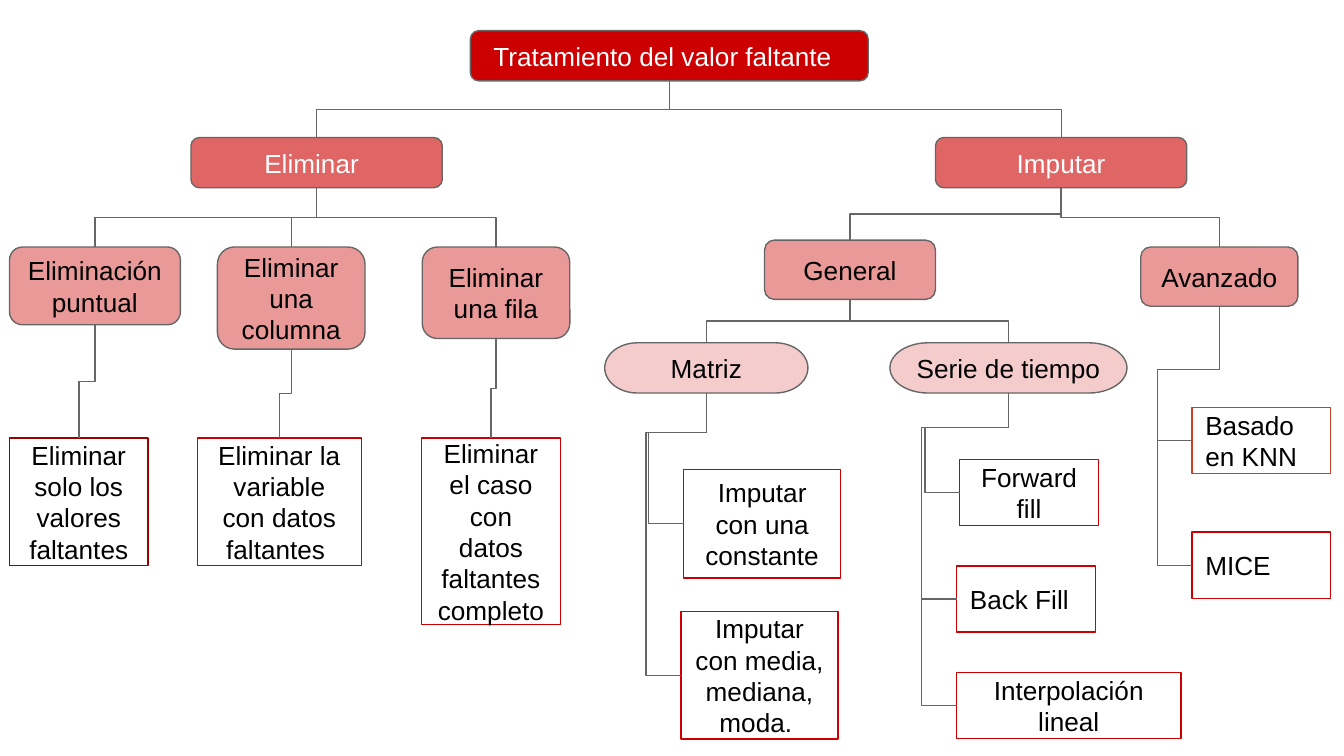
from lxml import etree
from pptx import Presentation
from pptx.dml.color import RGBColor
from pptx.enum.shapes import MSO_CONNECTOR, MSO_SHAPE
from pptx.enum.text import MSO_ANCHOR, PP_ALIGN
from pptx.oxml.ns import qn
from pptx.util import Cm, Pt

ROUNDED = MSO_SHAPE.ROUNDED_RECTANGLE
ALTERNATE = MSO_SHAPE.FLOWCHART_ALTERNATE_PROCESS
TERMINATOR = MSO_SHAPE.FLOWCHART_TERMINATOR
RECTANGLE = MSO_SHAPE.RECTANGLE
ELBOW = MSO_CONNECTOR.ELBOW
MIDDLE = MSO_ANCHOR.MIDDLE
LEFT, CENTER = PP_ALIGN.LEFT, PP_ALIGN.CENTER
TOP_SIDE, LEFT_SIDE, BOTTOM_SIDE = 0, 1, 2

COLORS = {
    "root": "CC0000", "branch": "E06666", "method": "EA9999",
    "family": "F4CCCC", "leaf": "FFFFFF", "gray": "666666",
    "red": "CC0000", "dark_red": "990000", "orange_red": "CC4125",
    "white": "FFFFFF", "black": "000000",
}

# level: preset shape, outline colour, text colour
LEVELS = {
    "root": (ROUNDED, "gray", "white"),
    "branch": (ROUNDED, "gray", "white"),
    "method": (ALTERNATE, "gray", "black"),
    "family": (TERMINATOR, "gray", "black"),
    "leaf": (RECTANGLE, "red", "black"),
}

# key: (text, level, left, top, width, height in cm, format overrides)
NODES = {
    "root": ("Tratamiento del valor faltante", "root", 8.89, 0.58, 7.52, 0.95,
             {"align": LEFT, "inset": 0.39}),
    "drop": ("Eliminar", "branch", 3.61, 2.6, 4.75, 0.95,
             {"align": LEFT, "inset": 1.34}),
    "impute": ("Imputar", "branch", 17.68, 2.6, 4.75, 0.95, {}),
    "point": ("Eliminación puntual", "method", 0.18, 4.67, 3.23, 1.47, {}),
    "column": ("Eliminar una columna", "method", 4.11, 4.67, 2.79, 1.93, {}),
    "row": ("Eliminar una fila", "method", 7.98, 4.67, 2.79, 1.73, {}),
    "general": ("General", "method", 14.45, 4.54, 3.23, 1.12, {}),
    "advanced": ("Avanzado", "method", 21.56, 4.67, 2.97, 1.12, {}),
    "matrix": ("Matriz", "family", 11.43, 6.48, 3.84, 0.95, {}),
    "series": ("Serie de tiempo", "family", 16.82, 6.48, 4.48, 0.95, {}),
    "values": ("Eliminar solo los valores faltantes", "leaf",
               0.18, 8.28, 2.62, 2.41, {"outline": "dark_red"}),
    "variable": ("Eliminar la variable con datos faltantes ", "leaf",
                 3.73, 8.28, 3.1, 2.41, {}),
    "case": ("Eliminar el caso con datos faltantes completo", "leaf",
             7.97, 8.28, 2.62, 3.53, {}),
    "constant": ("Imputar con una constante", "leaf", 12.92, 8.87, 2.97, 2.06, {}),
    "mean": ("Imputar con media, mediana, moda. ", "leaf",
             12.87, 11.56, 2.97, 2.41, {}),
    "forward": ("Forward fill", "leaf", 18.14, 8.69, 2.62, 1.25, {}),
    "back": ("Back Fill", "leaf", 18.08, 10.7, 2.62, 1.25, {"align": LEFT}),
    "linear": ("Interpolación lineal", "leaf", 18.08, 12.71, 4.24, 1.25, {}),
    "knn": ("Basado en KNN", "leaf", 22.53, 7.7, 2.62, 1.25,
            {"align": LEFT, "outline": "orange_red"}),
    "mice": ("MICE", "leaf", 22.53, 10.06, 2.62, 1.25, {"align": LEFT}),
}

# Children below the parent, reached at their top
BRANCHES = {
    "root": ["drop", "impute"],
    "drop": ["row", "column", "point"],
    "point": ["values"], "column": ["variable"], "row": ["case"],
    "impute": ["advanced", "general"],
    "general": ["series", "matrix"],
}
# Children listed along a side lane: drop below the parent in cm, children
LISTS = {
    "matrix": (0.74, ["constant", "mean"]),
    "series": (0.65, ["linear", "back", "forward"]),
    "advanced": (1.2, ["mice", "knn"]),
}
LANE_GAP = Cm(0.66)


def rgb(name):
    return RGBColor.from_string(COLORS[name])


def write(shape, text, color="black", align=CENTER, inset=0.25):
    frame = shape.text_frame
    frame.word_wrap = True
    frame.vertical_anchor = MIDDLE
    frame.margin_left = Cm(inset)
    frame.margin_right = frame.margin_top = frame.margin_bottom = Cm(0.25)
    paragraph = frame.paragraphs[0]
    paragraph.alignment = align
    run = paragraph.add_run()
    run.text = text
    run.font.name, run.font.size = "Arial", Pt(14)
    run.font.color.rgb = rgb(color)


def add_node(slide, text, level, left, top, width, height, options):
    preset, outline, color = LEVELS[level]
    node = slide.shapes.add_shape(preset, Cm(left), Cm(top), Cm(width), Cm(height))
    node.shadow.inherit = False
    node.fill.solid()
    node.fill.fore_color.rgb = rgb(level)
    node.line.color.rgb = rgb(options.get("outline", outline))
    node.line.width = Pt(0.75)
    formats = {k: v for k, v in options.items() if k != "outline"}
    write(node, text, color=color, **formats)
    return node


def add_elbow(slide, parent, child, drop=None):
    """Leave the parent downwards; with a drop, enter the child from its left."""
    x1, y1 = parent.left + parent.width // 2, parent.top + parent.height
    if drop is None:
        x2, y2, side = child.left + child.width // 2, child.top, TOP_SIDE
    else:
        x2, y2, side = child.left, child.top + child.height // 2, LEFT_SIDE
    elbow = slide.shapes.add_connector(ELBOW, x1, y1, x2, y2)
    elbow.begin_connect(parent, BOTTOM_SIDE)
    elbow.end_connect(child, side)
    elbow.line.color.rgb = rgb("gray")
    elbow.line.width = Pt(0.75)

    # A quarter turn makes the first segment vertical
    run, rise = y2 - y1, abs(x2 - x1)
    elbow.left, elbow.top = (x1 + x2 - run) // 2, (y1 + y2 - rise) // 2
    elbow.width, elbow.height = run, rise
    properties = elbow._element.spPr
    rightward = x2 > x1
    properties.xfrm.rot = 270 if rightward else 90
    properties.xfrm.flipH = rightward
    properties.xfrm.flipV = False

    if drop is not None:
        geometry = properties.find(qn("a:prstGeom"))
        geometry.set("prst", "bentConnector4")
        guides = geometry.find(qn("a:avLst"))
        ratios = (drop / run, (x1 - x2 + LANE_GAP) / rise)
        for number, ratio in enumerate(ratios, 1):
            etree.SubElement(guides, qn("a:gd"), name=f"adj{number}",
                             fmla=f"val {round(ratio * 100000)}")
    etree.SubElement(properties, qn("a:effectLst"))


def main():
    deck = Presentation()
    deck.slide_width, deck.slide_height = Cm(25.4), Cm(14.29)
    slide = deck.slides.add_slide(deck.slide_layouts[6])

    # Boxes
    nodes = {key: add_node(slide, *node) for key, node in NODES.items()}

    # Connectors
    for parent, children in BRANCHES.items():
        for child in children:
            add_elbow(slide, nodes[parent], nodes[child])
    for parent, (drop, children) in LISTS.items():
        for child in children:
            add_elbow(slide, nodes[parent], nodes[child], drop=Cm(drop))

    deck.save("out.pptx")


if __name__ == "__main__":
    main()
